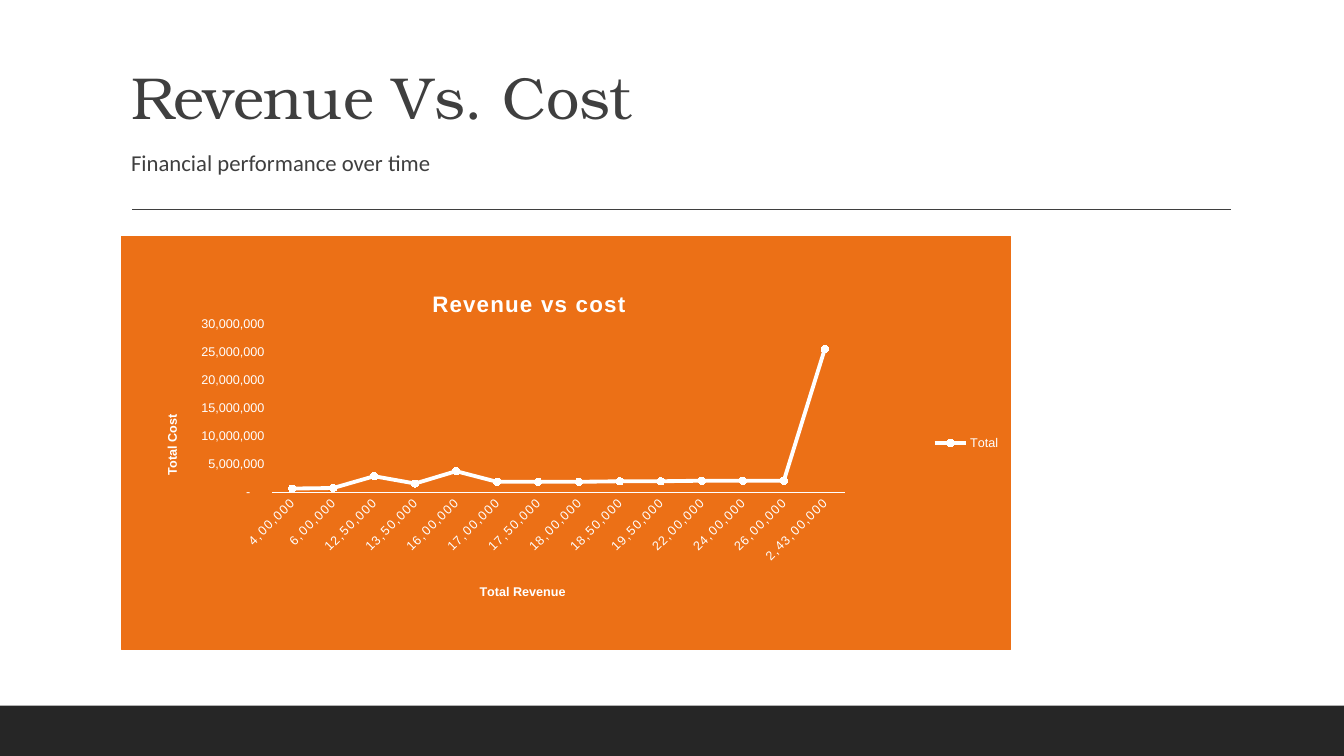
"""Build the Revenue Vs. Cost slide with its line chart."""
from dataclasses import dataclass

from lxml import etree
from pptx import Presentation
from pptx import util as u
from pptx.chart import data as cd
from pptx.dml.color import RGBColor
from pptx.enum import chart as ch, shapes, text
from pptx.oxml import parse_xml
from pptx.oxml.ns import nsdecls, qn


@dataclass(frozen=True)
class Theme:
    ink: str = "3F3F3F"
    band: str = "262626"
    panel: str = "EC7016"
    white: str = "FFFFFF"
    title_font: str = "TeX Gyre Bonum"
    body_font: str = "Calibri"
    chart_font: str = "Arial"
    title_size: float = 42.3
    subtitle_size: float = 16.2
    chart_title_size: float = 16
    label_size: float = 9


@dataclass(frozen=True)
class ChartLabel:
    owner: object
    wording: str
    size: float
    x: float
    y: float
    spacing: int = 0
    rotation: int = 0


T = Theme()
COSTS = {
    "4,00,000": 700000, "6,00,000": 800000, "12,50,000": 2900000,
    "13,50,000": 1600000, "16,00,000": 3800000, "17,00,000": 1900000,
    "17,50,000": 1900000, "18,00,000": 1900000, "18,50,000": 2000000,
    "19,50,000": 2000000, "22,00,000": 2100000, "24,00,000": 2100000,
    "26,00,000": 2100000, "2,43,00,000": 25600000,
}


def style_font(font, name: str, size: float, color: str, bold: bool = False) -> None:
    font.name, font.size, font.bold = name, u.Pt(size), bold
    font.color.rgb = RGBColor.from_string(color)


def style_line(line, color: str, width: float) -> None:
    line.color.rgb = RGBColor.from_string(color)
    line.width = u.Pt(width)


def set_layout(parent, index: int, **values) -> None:
    for old in parent.findall(qn("c:layout")):
        parent.remove(old)
    layout = etree.Element(qn("c:layout"))
    manual = etree.SubElement(layout, qn("c:manualLayout"))
    for tag, value in values.items():
        etree.SubElement(manual, qn(f"c:{tag}")).set("val", str(value))
    parent.insert(index, layout)


def add_label(label: ChartLabel) -> None:
    tf = label.owner.text_frame
    r = tf.paragraphs[0].add_run()
    r.text = label.wording
    style_font(r.font, T.chart_font, label.size, T.white, True)
    title = label.owner.element
    title.find(".//" + qn("a:rPr")).set("spc", str(label.spacing))
    title.find(".//" + qn("a:bodyPr")).set("rot", str(label.rotation))
    set_layout(title, 1, xMode="edge", yMode="edge", x=label.x, y=label.y)


def add_heading(s) -> None:
    sp = s.shapes.title
    sp.left, sp.top = u.Inches(1.2), u.Inches(0.99)
    sp.width, sp.height = u.Inches(11), u.Inches(0.81)
    tf = sp.text_frame
    tf.auto_size = text.MSO_AUTO_SIZE.NONE
    tf.word_wrap = True
    tf.vertical_anchor = text.MSO_ANCHOR.BOTTOM
    lines = (("Revenue Vs. Cost", T.title_font, T.title_size, 0),
             ("Financial performance over time", T.body_font, T.subtitle_size, 14))
    for i, (wording, font, size, gap) in enumerate(lines):
        p = tf.add_paragraph() if i else tf.paragraphs[0]
        p.alignment = text.PP_ALIGN.LEFT
        p.line_spacing = 0.9
        p.space_before = u.Pt(gap)
        r = p.add_run()
        r.text = wording
        style_font(r.font, font, size, T.ink)


def add_frame(s, width: int) -> None:
    band = s.shapes.add_shape(shapes.MSO_SHAPE.RECTANGLE, 0, u.Inches(7),
                              width, u.Inches(0.5))
    band.shadow.inherit = False
    band.fill.solid()
    band.fill.fore_color.rgb = RGBColor.from_string(T.band)
    band.line.fill.background()
    rule = s.shapes.add_connector(shapes.MSO_CONNECTOR.STRAIGHT, u.Inches(1.31),
                                  u.Inches(2.08), u.Inches(12.21), u.Inches(2.08))
    style_line(rule.line, T.ink, 1)
    etree.SubElement(rule.element.spPr, qn("a:effectLst"))


def add_cost_chart(s) -> None:
    data = cd.CategoryChartData()
    data.categories = list(COSTS)
    data.add_series("Total", list(COSTS.values()))
    chart = s.shapes.add_chart(ch.XL_CHART_TYPE.LINE_MARKERS, u.Inches(1.2),
                               u.Inches(2.34), u.Inches(8.83), u.Inches(4.11),
                               data).chart
    style_font(chart.font, T.chart_font, 10, "000000")
    chart.plots[0].vary_by_categories = False
    paint = f'<a:solidFill><a:srgbClr val="{T.panel}"/></a:solidFill>'
    chart.element.find(qn("c:chart")).addnext(parse_xml(
        f'<c:spPr {nsdecls("c", "a")}>{paint}<a:ln w="9525">{paint}</a:ln></c:spPr>'))
    set_layout(chart.element.find(".//" + qn("c:plotArea")), 0, layoutTarget="inner",
               xMode="edge", yMode="edge", x=0.169, y=0.213, w=0.645, h=0.407)

    cat, val = chart.category_axis, chart.value_axis
    for axis in (cat, val):
        axis.has_major_gridlines = False
        axis.major_tick_mark = axis.minor_tick_mark = ch.XL_TICK_MARK.NONE
        style_font(axis.tick_labels.font, T.chart_font, T.label_size, T.white)
    style_line(cat.format.line, T.white, 1)
    val.format.line.fill.background()
    val.minimum_scale, val.maximum_scale, val.major_unit = 0, 30000000, 5000000
    val.tick_labels.number_format = r'_ * #,##0_ ;_ * \-#,##0_ ;_ * "-"??_ ;_ '
    val.tick_labels.number_format_is_linked = False
    tick_text = cat.tick_labels.font
    cat_text = cat.format.line and chart.element.find(".//" + qn("c:catAx")).find(qn("c:txPr"))
    cat_text.find(qn("a:bodyPr")).set("rot", "-2700000")
    cat_text.find(".//" + qn("a:defRPr")).set("spc", "100")
    tick_text.bold = False

    chart.has_title = True
    for label in (
        ChartLabel(chart.chart_title, "Revenue vs cost", T.chart_title_size,
                   0.345, 0.12, spacing=100),
        ChartLabel(cat.axis_title, "Total Revenue", T.label_size, 0.4, 0.835),
        ChartLabel(val.axis_title, "Total Cost", T.label_size, 0.045, 0.425,
                   rotation=-5400000),
    ):
        add_label(label)

    chart.has_legend = True
    chart.legend.position = ch.XL_LEGEND_POSITION.RIGHT
    chart.legend.include_in_layout = False
    style_font(chart.legend.font, T.chart_font, T.label_size, T.white)

    series = chart.plots[0].series[0]
    series.smooth = False
    style_line(series.format.line, T.white, 2.75)
    series.marker.style = ch.XL_MARKER_STYLE.CIRCLE
    series.marker.size = 5
    series.marker.format.fill.solid()
    series.marker.format.fill.fore_color.rgb = RGBColor.from_string(T.panel)
    style_line(series.marker.format.line, T.white, 2)


def main() -> None:
    prs = Presentation()
    prs.slide_width, prs.slide_height = u.Inches(13.33), u.Inches(7.5)
    s = prs.slides.add_slide(prs.slide_layouts[5])
    add_frame(s, prs.slide_width)
    add_heading(s)
    add_cost_chart(s)
    prs.save("out.pptx")


if __name__ == "__main__":
    main()
